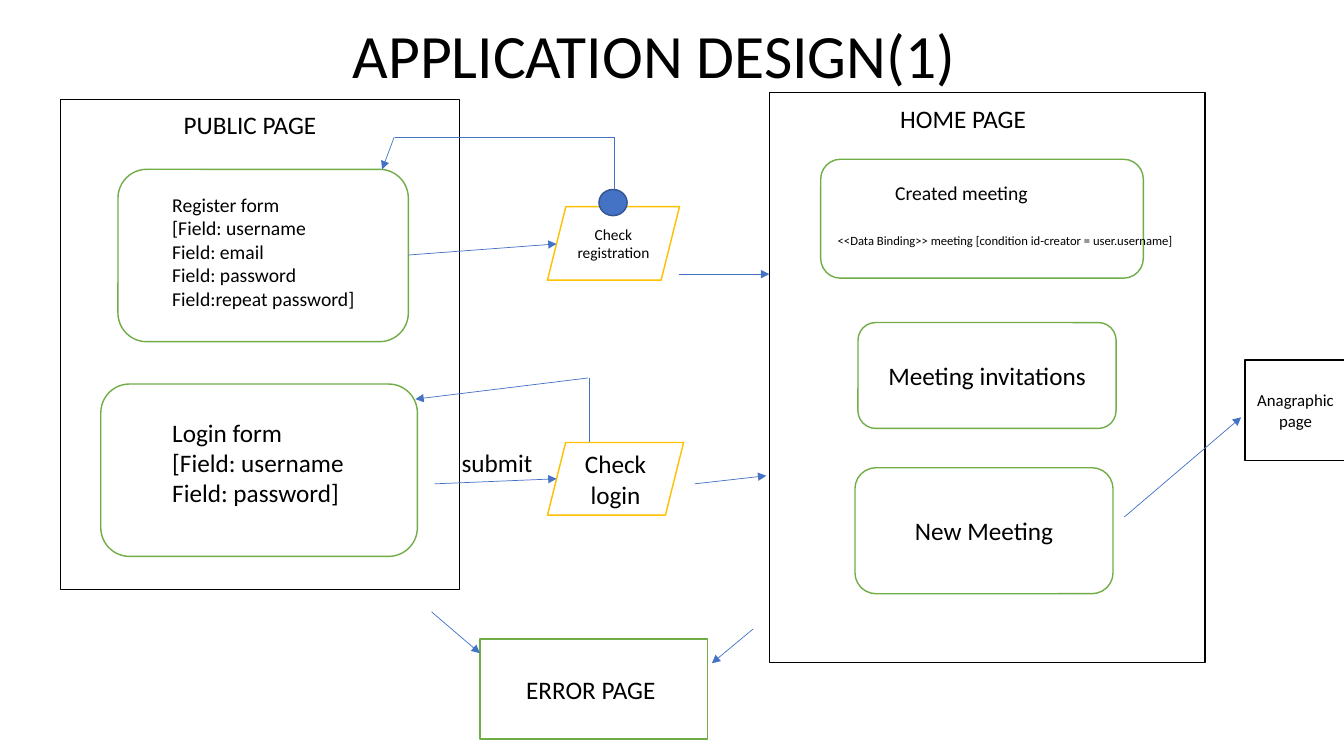
from dataclasses import dataclass

from lxml.etree import SubElement
from pptx import Presentation
from pptx.dml.color import RGBColor
from pptx.enum.shapes import MSO_CONNECTOR, MSO_SHAPE as Preset
from pptx.enum.text import MSO_ANCHOR as Anchor, MSO_AUTO_SIZE as AutoSize, PP_ALIGN as Align
from pptx.oxml.ns import qn
from pptx.util import Inches, Pt


@dataclass(frozen=True)
class Theme:
    font: str = "Calibri"
    black: RGBColor = RGBColor(0, 0, 0)
    white: RGBColor = RGBColor(255, 255, 255)
    green: RGBColor = RGBColor.from_string("70AD47")
    amber: RGBColor = RGBColor.from_string("FFC000")
    blue: RGBColor = RGBColor.from_string("4472C4")
    dark_blue: RGBColor = RGBColor.from_string("325491")
    title: int = 44
    heading: int = 18
    body: int = 14
    page: int = 12
    small: int = 11
    note: int = 9


theme = Theme()
presentation = Presentation()
presentation.slide_width, presentation.slide_height = Inches(13.33), Inches(7.5)
slide = presentation.slides.add_slide(presentation.slide_layouts[5])


def write(shape, text, size=theme.heading, align=Align.LEFT, anchor=Anchor.TOP,
          wrap=True, line_spacing=None):
    frame = shape.text_frame
    frame.text = text
    frame.word_wrap = wrap
    frame.auto_size = AutoSize.NONE
    frame.vertical_anchor = anchor
    for paragraph in frame.paragraphs:
        paragraph.alignment = align
        paragraph.line_spacing = line_spacing
        paragraph.font.name = theme.font
        paragraph.font.size = Pt(size)
        paragraph.font.color.rgb = theme.black


def add_box(preset, place, line, fill=theme.white, text="", size=theme.heading):
    shape = slide.shapes.add_shape(preset, *map(Inches, place))
    shape.shadow.inherit = False
    shape.fill.solid()
    shape.fill.fore_color.rgb = fill
    shape.line.color.rgb = line
    shape.line.width = Pt(1)
    if text:
        write(shape, text, size=size, align=Align.CENTER, anchor=Anchor.MIDDLE)


# Title
title = slide.shapes.title
title.left, title.top, title.width, title.height = map(Inches, (0.74, 0.17, 11.5, 0.82))
write(title, "APPLICATION DESIGN(1)", size=theme.title, align=Align.CENTER,
      anchor=Anchor.MIDDLE, line_spacing=0.9)

# Public page with its two forms
add_box(Preset.RECTANGLE, (0.6, 0.99, 3.96, 4.86), theme.black)
add_box(Preset.ROUNDED_RECTANGLE, (1.17, 1.68, 2.88, 1.71), theme.green)
add_box(Preset.ROUNDED_RECTANGLE, (1, 3.81, 3.14, 1.71), theme.green)

# Server checks
add_box(Preset.PARALLELOGRAM, (5.43, 4.39, 1.35, 0.72), theme.amber, text="Check\nlogin")
add_box(Preset.PARALLELOGRAM, (5.43, 2.05, 1.31, 0.73), theme.amber,
        text="Check\nregistration", size=theme.small)

# Home page with its sections
add_box(Preset.RECTANGLE, (7.63, 0.92, 4.32, 5.65), theme.black)
add_box(Preset.ROUNDED_RECTANGLE, (8.14, 1.58, 3.2, 1.18), theme.green)
add_box(Preset.ROUNDED_RECTANGLE, (8.51, 3.2, 2.56, 1.05), theme.green,
        text="Meeting invitations")
add_box(Preset.ROUNDED_RECTANGLE, (8.48, 4.64, 2.56, 1.25), theme.green, text="New Meeting")

# Anagraphic and error pages
add_box(Preset.RECTANGLE, (12.35, 3.57, 1, 1), theme.black,
        text="Anagraphic page", size=theme.page)
add_box(Preset.RECTANGLE, (4.76, 6.34, 2.26, 0.99), theme.green)

# Flow lines: start, end, arrowhead
flows = [
    ((4.05, 2.53), (5.52, 2.42), True),    # register form to check
    ((6.09, 2.05), (6.09, 1.36), False),   # failed registration, back to form
    ((6.09, 1.36), (3.92, 1.36), False),
    ((3.91, 1.36), (3.79, 1.68), True),
    ((4.31, 4.8), (5.52, 4.75), True),     # login form to check
    ((5.85, 4.39), (5.85, 3.75), False),   # failed login, back to form
    ((5.83, 3.75), (4.12, 3.96), True),
    ((6.73, 2.72), (7.63, 2.72), True),    # checks to home page
    ((6.89, 4.8), (7.6, 4.72), True),
    ((11.15, 5.13), (12.31, 4.14), True),  # new meeting to anagraphic page
    ((7.47, 6.24), (7.06, 6.58), True),    # pages to error page
    ((4.28, 6.07), (4.76, 6.48), True),
]
for start, end, arrow in flows:
    connector = slide.shapes.add_connector(MSO_CONNECTOR.STRAIGHT, *map(Inches, start + end))
    connector.line.color.rgb = theme.blue
    connector.line.width = Pt(0.5)
    if arrow:
        SubElement(connector.line._get_or_add_ln(), qn("a:tailEnd"), type="triangle")
    SubElement(connector._element.spPr, qn("a:effectLst"))

# Event dot on the registration check
add_box(Preset.OVAL, (5.94, 1.88, 0.28, 0.26), theme.dark_blue, fill=theme.blue)

# Labels: place, text, format
register_text = ("Register form\n[Field: username\nField: email\n"
                 "Field: password\nField:repeat password]")
binding_text = "<<Data Binding>> meeting [condition id-creator = user.username]"
labels = [
    ((1.17, 1.04, 2.62, 0.4), "PUBLIC PAGE", {"align": Align.CENTER}),
    ((1.61, 1.86, 2.18, 1.28), register_text, {"size": theme.body}),
    ((1.61, 4.09, 2.51, 1.31), "Login form\n[Field: username\nField: password]", {}),
    ((4.48, 4.39, 1.35, 0.4), "submit", {}),
    ((8.83, 0.98, 2.79, 0.4), "HOME PAGE", {}),
    ((8.78, 1.75, 2.83, 0.34), "Created meeting", {"size": theme.body}),
    ((8.21, 2.26, 3.52, 0.71), binding_text, {"size": theme.note}),
    ((5.12, 6.64, 1.49, 0.4), "ERROR PAGE", {"wrap": False}),
]
for place, text, text_format in labels:
    write(slide.shapes.add_textbox(*map(Inches, place)), text, **text_format)

presentation.save("out.pptx")
